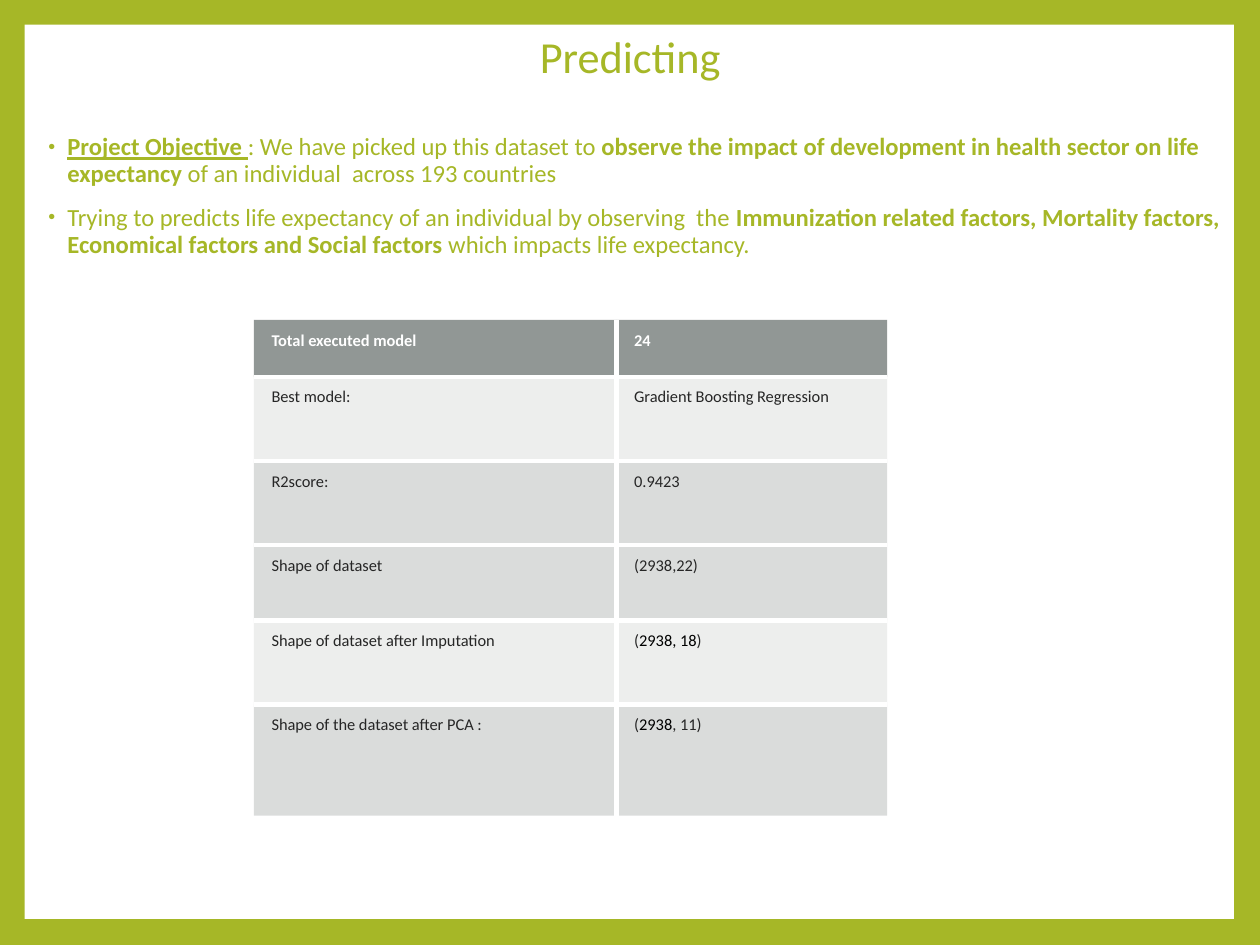
"""Build the slide on predicting life expectancy."""
from dataclasses import dataclass

from lxml.etree import SubElement
from pptx import Presentation
from pptx.dml.color import RGBColor
from pptx.enum.shapes import MSO_SHAPE
from pptx.enum.text import MSO_ANCHOR, PP_ALIGN
from pptx.oxml.ns import qn
from pptx.util import Cm, Pt


@dataclass(frozen=True)
class Theme:
    """Hold the colours, font and type sizes."""
    lime: str = "A6B727"
    white: str = "FFFFFF"
    black: str = "000000"
    ink: str = "262626"
    slate: str = "636B68"
    grey: str = "878E8B"
    font: str = "Calibri"
    title: float = 27
    body: float = 15
    cell: float = 10


THEME = Theme()
GOALS = [
    [("Project Objective", {"bold": True, "under": True}),
     (" ", {"under": True}),
     (": We have picked up this dataset to ", {}),
     ("observe the impact of development in health sector on life expectancy",
      {"bold": True}),
     (" of an individual  across 193 countries", {})],
    [("Trying to predicts life expectancy of an individual by observing  the ", {}),
     ("Immunization related factors, Mortality factors, "
      "Economical factors and Social factors", {"bold": True}),
     (" which impacts life expectancy.", {})],
]
DARK = {"tint": THEME.black}
ROWS = [
    (1.22, 70, "Total executed model", [("24", {})]),
    (1.81, 15, "Best model:", [("Gradient Boosting Regression", {})]),
    (1.81, 30, "R2score:", [("0.9423", {})]),
    (1.62, 30, "Shape of dataset", [("(2938,22)", {})]),
    (1.81, 15, "Shape of dataset after Imputation",
     [("(", {}), ("2938, 18", DARK), (")", {})]),
    (2.39, 30, "Shape of the dataset after PCA :",
     [("(", {}), ("2938", DARK), (", 11)", {})]),
]
WIDTHS = [7.8, 5.82]


def write(para, text, size, tint, bold=False, under=False):
    """Add a run of text with its format."""
    run = para.add_run()
    run.text = text
    font = run.font
    font.name, font.size = THEME.font, Pt(size)
    font.bold, font.underline = bold, under
    font.color.rgb = RGBColor.from_string(tint)


def paint(fill, tint, alpha=100):
    """Fill with a solid colour, at a percentage of full strength."""
    fill.solid()
    fill.fore_color.rgb = RGBColor.from_string(tint)
    if alpha < 100:
        node = fill.fore_color._xFill.find(qn("a:srgbClr"))
        SubElement(node, qn("a:alpha"), val=str(alpha * 1000))


def frame(slide, left, top, width, height):
    """Add a wrapped text box and return its text frame."""
    box = slide.shapes.add_textbox(Cm(left), Cm(top), Cm(width), Cm(height))
    box.text_frame.word_wrap = True
    return box.text_frame


def panel(slide):
    """Draw the white panel within the lime edge."""
    paint(slide.background.fill, THEME.lime)
    shape = slide.shapes.add_shape(
        MSO_SHAPE.RECTANGLE, Cm(0.53), Cm(0.53), Cm(26.01), Cm(19.23))
    shape.shadow.inherit = False
    paint(shape.fill, THEME.white)
    shape.line.fill.background()


def title(slide):
    """Write the centred title."""
    text = frame(slide, 10.95, 0.38, 5.21, 1.8)
    text.vertical_anchor = MSO_ANCHOR.MIDDLE
    para = text.paragraphs[0]
    para.alignment, para.line_spacing = PP_ALIGN.CENTER, 0.9
    write(para, "Predicting", THEME.title, THEME.lime)


def dot(para):
    """Give a paragraph a hanging bullet."""
    props = para._p.get_or_add_pPr()
    props.set("marL", str(Cm(0.51)))
    props.set("indent", str(-Cm(0.41)))
    tint = SubElement(props, qn("a:buClr"))
    SubElement(tint, qn("a:srgbClr"), val=THEME.lime)
    SubElement(props, qn("a:buSzPct"), val="80000")
    SubElement(props, qn("a:buFont"), typeface="Arial")
    SubElement(props, qn("a:buChar"), char="•")


def goals(slide):
    """Write the bulleted goals."""
    text = frame(slide, 0.69, 2.77, 25.93, 4.11)
    for index, runs in enumerate(GOALS):
        para = text.add_paragraph() if index else text.paragraphs[0]
        para.line_spacing, para.space_before = 0.9, Pt(10.7)
        dot(para)
        for words, style in runs:
            write(para, words, THEME.body, THEME.lime, **style)


def rule(cell, row, col):
    """Draw white rules on the inner sides of a cell, none on the outer."""
    inner = {"L": col > 0, "R": col < len(WIDTHS) - 1,
             "T": row > 0, "B": row < len(ROWS) - 1}
    props = cell._tc.get_or_add_tcPr()
    for side, shown in inner.items():
        line = SubElement(props, qn(f"a:ln{side}"), w=str(Pt(3)))
        if shown:
            solid = SubElement(line, qn("a:solidFill"))
            SubElement(solid, qn("a:srgbClr"), val=THEME.white)
        else:
            SubElement(line, qn("a:noFill"))


def grid(slide):
    """Add the table of model results."""
    high = sum(row[0] for row in ROWS)
    table = slide.shapes.add_table(
        len(ROWS), len(WIDTHS), Cm(5.46), Cm(6.88),
        Cm(sum(WIDTHS)), Cm(high)).table
    table.horz_banding = False
    for col, width in enumerate(WIDTHS):
        table.columns[col].width = Cm(width)
    for row, (height, alpha, label, value) in enumerate(ROWS):
        table.rows[row].height = Cm(height)
        head = row == 0
        base = {"tint": THEME.white if head else THEME.ink, "bold": head}
        for col, runs in enumerate([[(label, {})], value]):
            cell = table.cell(row, col)
            cell.margin_left = Cm(0.38)
            cell.margin_right = cell.margin_top = cell.margin_bottom = Cm(0.23)
            rule(cell, row, col)
            paint(cell.fill, THEME.slate if head else THEME.grey, alpha)
            for words, style in runs:
                write(cell.text_frame.paragraphs[0], words, THEME.cell,
                      **{**base, **style})


def main():
    """Build and save the slide."""
    deck = Presentation()
    deck.slide_width, deck.slide_height = Cm(27.1), Cm(20.32)
    slide = deck.slides.add_slide(deck.slide_layouts[6])
    panel(slide)
    title(slide)
    goals(slide)
    grid(slide)
    deck.save("out.pptx")


if __name__ == "__main__":
    main()
